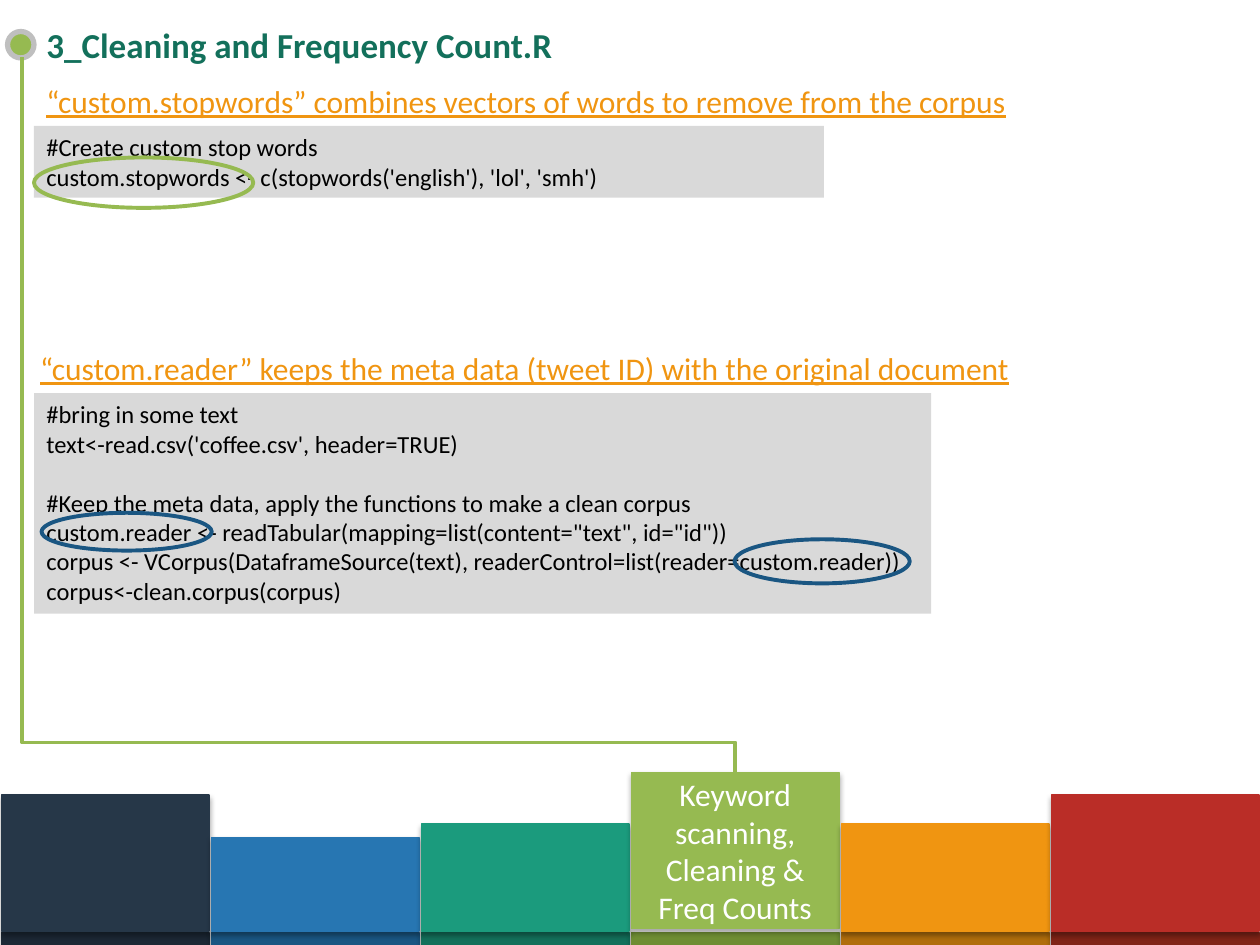
from dataclasses import dataclass

from lxml import etree
from pptx import Presentation
from pptx.dml.color import RGBColor
from pptx.enum.shapes import MSO_CONNECTOR, MSO_SHAPE
from pptx.enum.text import MSO_ANCHOR, MSO_AUTO_SIZE, PP_ALIGN
from pptx.oxml.ns import qn
from pptx.util import Inches, Pt

RECTANGLE, OVAL = MSO_SHAPE.RECTANGLE, MSO_SHAPE.OVAL
ELBOW = MSO_CONNECTOR.ELBOW
MIDDLE, TOP = MSO_ANCHOR.MIDDLE, MSO_ANCHOR.TOP
LEFT, CENTER = PP_ALIGN.LEFT, PP_ALIGN.CENTER
GROW, FIXED = MSO_AUTO_SIZE.SHAPE_TO_FIT_TEXT, MSO_AUTO_SIZE.NONE


@dataclass(frozen=True)
class Theme:
    font: str = "Calibri"
    title_size: int = 20
    heading_size: int = 18
    code_size: int = 14
    title: str = "13705B"
    heading: str = "F09511"
    code: str = "000000"
    panel: str = "D9D9D9"
    light: str = "FFFFFF"
    green: str = "96BA51"
    blue: str = "1A5682"
    ring: str = "BFBFBF"
    tabs: tuple = ("263748", "2776B2", "1B9B7D", "96BA51", "F09511", "BA2D27")
    feet: tuple = ("1C2835", "1A5682", "13705B", "6E8D33", "B16E0C", "812417")


theme = Theme()
COLUMNS, ROWS = 100, 75
CELL = Inches(0.1)

deck = Presentation()
deck.slide_width, deck.slide_height = COLUMNS * CELL, ROWS * CELL
slide = deck.slides.add_slide(deck.slide_layouts[6])


def draw(kind, area, fill, line, weight, shaded=False):
    shape = slide.shapes.add_shape(kind, *(round(n * CELL) for n in area))
    shape.shadow.inherit = False
    if fill:
        shape.fill.solid()
        shape.fill.fore_color.rgb = RGBColor.from_string(fill)
    else:
        shape.fill.background()
    shape.line.color.rgb = RGBColor.from_string(line)
    shape.line.width = Pt(weight)
    if shaded:
        effects = shape._element.spPr.find(qn("a:effectLst"))
        shadow = etree.SubElement(effects, qn("a:outerShdw"), blurRad=str(Pt(3.1)),
                                  dist=str(Pt(1.8)), dir="5400000", rotWithShape="0")
        black = etree.SubElement(shadow, qn("a:srgbClr"), val="000000")
        etree.SubElement(black, qn("a:alpha"), val="35000")
    return shape


def write(box, lines, size, color, bold=None, underline=None, align=LEFT,
          anchor=TOP, wrap=True, fit=GROW):
    frame = box.text_frame
    frame.word_wrap = wrap
    frame.auto_size = fit
    frame.vertical_anchor = anchor
    for number, line in enumerate(lines):
        paragraph = frame.add_paragraph() if number else frame.paragraphs[0]
        paragraph.alignment = align
        if not line:
            paragraph._p.get_or_add_endParaRPr().set("sz", str(size * 100))
            continue
        run = paragraph.add_run()
        run.text = line
        run.font.name = theme.font
        run.font.size = Pt(size)
        run.font.bold = bold
        run.font.underline = underline
        run.font.color.rgb = RGBColor.from_string(color)


TAB_PITCH = COLUMNS / len(theme.tabs)
TAB_WIDTH = 16.5
tab_lefts = [0.1 + TAB_PITCH * index for index in range(len(theme.tabs))]

for left, color in zip(tab_lefts, theme.feet):
    draw(RECTANGLE, (left, 74, TAB_WIDTH, 1), color, color, 0.75, shaded=True)

code_panels = [
    ((2.7, 31.2, 71.2, 17.5), [
        "#bring in some text",
        "text<-read.csv('coffee.csv', header=TRUE)",
        "",
        "#Keep the meta data, apply the functions to make a clean corpus",
        'custom.reader <- readTabular(mapping=list(content="text", id="id"))',
        "corpus <- VCorpus(DataframeSource(text), readerControl=list(reader=custom.reader))",
        "corpus<-clean.corpus(corpus)",
    ]),
    ((2.7, 10, 62.7, 5.7), [
        "#Create custom stop words",
        "custom.stopwords <- c(stopwords('english'), 'lol', 'smh')",
    ]),
]
for area, code in code_panels:
    panel = slide.shapes.add_textbox(*(round(n * CELL) for n in area))
    panel.fill.solid()
    panel.fill.fore_color.rgb = RGBColor.from_string(theme.panel)
    write(panel, code, theme.code_size, theme.code)

tab_tops = [63.1, 66.5, 65.4, 61.3, 65.4, 63.1]
tab_bottoms = [73.9, 73.9, 73.9, 73.7, 73.9, 73.9]
CURRENT = 3
tabs = [
    draw(RECTANGLE, (left, top, TAB_WIDTH, bottom - top), color, color, 0.75, shaded=True)
    for left, top, bottom, color in zip(tab_lefts, tab_tops, tab_bottoms, theme.tabs)
]
write(tabs[CURRENT], ["Keyword scanning, Cleaning & Freq Counts"], theme.heading_size,
      theme.light, align=CENTER, anchor=MIDDLE, fit=FIXED)

draw(OVAL, (0.6, 2.5, 2.1, 2.1), theme.green, theme.ring, 3)

title = slide.shapes.add_textbox(*(round(n * CELL) for n in (2.7, 1.1, 94.6, 4.9)))
write(title, ["3_Cleaning and Frequency Count.R"], theme.title_size, theme.title,
      bold=True, anchor=MIDDLE, fit=FIXED)

headings = [
    ((2.7, 6, 86.1, 4),
     "“custom.stopwords” combines vectors of words to remove from the corpus"),
    ((2.2, 27.2, 86.6, 4),
     "“custom.reader” keeps the meta data (tweet ID) with the original document"),
]
for area, words in headings:
    heading = slide.shapes.add_textbox(*(round(n * CELL) for n in area))
    write(heading, [words], theme.heading_size, theme.heading, underline=True, wrap=False)

trail = slide.shapes.add_connector(
    ELBOW, *(round(n * CELL) for n in (1.7, 61.2, 58.4, 4.6)))
trail.line.color.rgb = RGBColor.from_string(theme.green)
trail.line.width = Pt(2)
trail_properties = trail._element.spPr
trail_properties.find(qn("a:xfrm")).set("rot", "16200000")
bend = trail_properties.find(qn("a:prstGeom")).find(qn("a:avLst"))
etree.SubElement(bend, qn("a:gd"), name="adj1", fmla="val 4100")
etree.SubElement(trail_properties, qn("a:effectLst"))

highlights = [
    ((2.7, 12.5, 17.4, 4), theme.green),
    ((58.3, 42.8, 13.9, 3.5), theme.blue),
    ((3.3, 40.7, 13.5, 3), theme.blue),
]
for area, color in highlights:
    draw(OVAL, area, None, color, 2.25)

deck.save("out.pptx")
